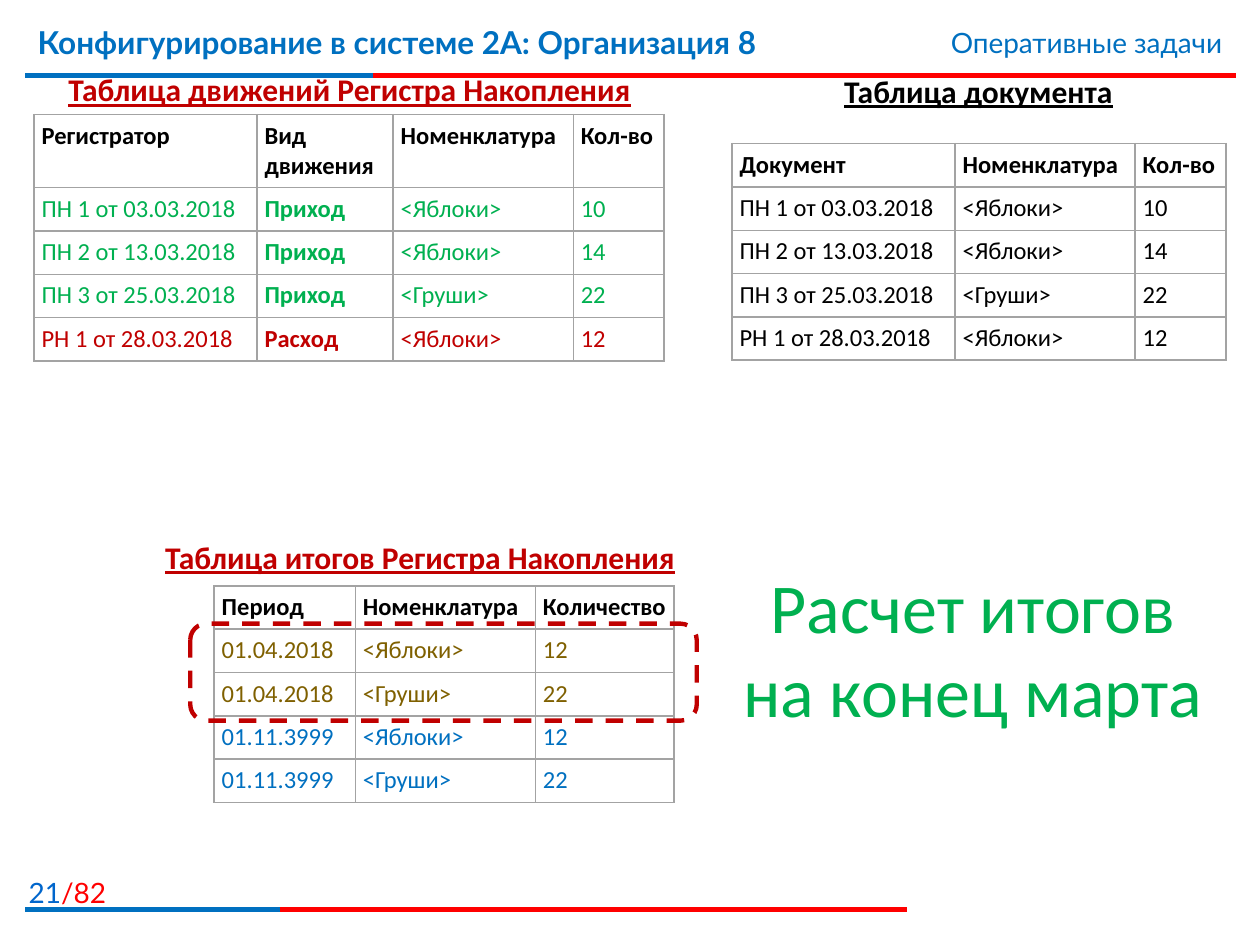
"""Build the slide on month-end totals of an accumulation register."""
from lxml.etree import SubElement
from pptx import Presentation
from pptx.dml.color import RGBColor
from pptx.enum.dml import MSO_LINE
from pptx.enum.shapes import MSO_CONNECTOR, MSO_SHAPE
from pptx.enum.text import PP_ALIGN
from pptx.oxml import parse_xml
from pptx.oxml.ns import nsdecls, qn
from pptx.util import Inches, Pt

BLACK = RGBColor(0x00, 0x00, 0x00)
BLUE = RGBColor(0x00, 0x70, 0xC0)
PAGE_BLUE = RGBColor(0x00, 0x66, 0xCC)
RED = RGBColor(0xFF, 0x00, 0x00)
DARK_RED = RGBColor(0xC0, 0x00, 0x00)
GREEN = RGBColor(0x00, 0xB0, 0x50)
BROWN = RGBColor(0x7F, 0x60, 0x00)
BORDER_GRAY = RGBColor(0xA3, 0xA3, 0xA3)

ROW_HEIGHT = 0.344
CELL_MARGINS = {"left": 0.06, "right": 0.05, "top": 0.05, "bottom": 0.05}

RULES = [
    (0.6, 9.81, RED), (0.6, 2.96, BLUE),
    (7.22, 7.2, RED), (7.22, 2.22, BLUE),
]

HEADING = {"size": 18, "bold": True, "underline": True, "align": PP_ALIGN.CENTER}
TEXTS = [
    ([("21", PAGE_BLUE), ("/82", RED)], (0, 6.9, 0.94, 0.32),
     {"size": 16, "font": "Lato", "align": PP_ALIGN.RIGHT}),
    ([("Конфигурирование в системе 2А: Организация 8", BLUE)], (0.2, 0.13, 7.4, 0.62),
     {"size": 18, "font": "Lato", "bold": True}),
    ([("Оперативные задачи", BLUE)], (5.94, 0.15, 3.86, 0.37),
     {"size": 16, "font": "Lato", "align": PP_ALIGN.RIGHT}),
    ([("Таблица документа", BLACK)], (5.56, 0.52, 4.41, 0.4), HEADING),
    ([("Таблица движений Регистра Накопления", DARK_RED)], (0.28, 0.51, 4.99, 0.4), HEADING),
    ([("Таблица итогов Регистра Накопления", DARK_RED)], (1.13, 4.22, 4.41, 0.4), HEADING),
    ([("Расчет итогов на конец марта", GREEN)], (5.71, 4.42, 4.02, 1.45),
     {"size": 40, "align": PP_ALIGN.CENTER}),
]

MOVEMENTS = [
    ("ПН 1 от 03.03.2018", "Приход", "<Яблоки>", "10"),
    ("ПН 2 от 13.03.2018", "Приход", "<Яблоки>", "14"),
    ("ПН 3 от 25.03.2018", "Приход", "<Груши>", "22"),
    ("РН 1 от 28.03.2018", "Расход", "<Яблоки>", "12"),
]
TOTALS = [
    (period, item, quantity)
    for period in ("01.04.2018", "01.11.3999")
    for item, quantity in (("<Яблоки>", "12"), ("<Груши>", "22"))
]

TABLES = [
    {"position": (1.7, 4.65), "columns": [1.12, 1.43, 1.1], "header_height": ROW_HEIGHT,
     "header": ("Период", "Номенклатура", "Количество"),
     "rows": TOTALS, "colors": [BROWN, BROWN, BLUE, BLUE]},
    {"position": (0.27, 0.91), "columns": [1.77, 1.08, 1.43, 0.72], "header_height": 0.58,
     "header": ("Регистратор", "Вид движения", "Номенклатура", "Кол-во"),
     "rows": MOVEMENTS, "colors": [GREEN, GREEN, GREEN, DARK_RED], "bold_column": 1},
    {"position": (5.81, 1.14), "columns": [1.77, 1.43, 0.72], "header_height": ROW_HEIGHT,
     "header": ("Документ", "Номенклатура", "Кол-во"),
     "rows": [(document, item, quantity) for document, _, item, quantity in MOVEMENTS],
     "colors": [BLACK] * 4},
]


def write_text(frame, runs, *, size, font="Calibri", bold=False, underline=False,
               align=PP_ALIGN.LEFT):
    frame.word_wrap = True
    paragraph = frame.paragraphs[0]
    paragraph.alignment = align
    for text, color in runs:
        run = paragraph.add_run()
        run.text = text
        run.font.size = Pt(size)
        run.font.name = font
        run.font.bold = bold
        run.font.underline = underline
        run.font.color.rgb = color


def add_rule(slide, top, right, color):
    rule = slide.shapes.add_connector(
        MSO_CONNECTOR.STRAIGHT, Inches(0.2), Inches(top), Inches(right), Inches(top))
    rule.line.color.rgb = color
    rule.line.width = Pt(3)
    SubElement(rule._element.spPr, qn("a:effectLst"))


def set_borders(cell):
    properties = cell._tc.get_or_add_tcPr()
    for index, side in enumerate(("lnL", "lnR", "lnT", "lnB")):
        properties.insert(index, parse_xml(
            f'<a:{side} {nsdecls("a")} w="{Pt(1)}"><a:solidFill>'
            f'<a:srgbClr val="{BORDER_GRAY}"/></a:solidFill></a:{side}>'))


def add_grid(slide, position, columns, header_height, header, rows, colors, bold_column=None):
    heights = [header_height] + [ROW_HEIGHT] * len(rows)
    left, top = position
    table = slide.shapes.add_table(
        len(heights), len(columns), Inches(left), Inches(top),
        Inches(sum(columns)), Inches(sum(heights))).table
    table.first_row = False
    table.horz_banding = False
    for column, width in zip(table.columns, columns):
        column.width = Inches(width)
    for row, height in zip(table.rows, heights):
        row.height = Inches(height)
    for row_index, (values, color) in enumerate(zip([header, *rows], [BLACK, *colors])):
        for column_index, value in enumerate(values):
            cell = table.cell(row_index, column_index)
            cell.fill.background()
            for side, margin in CELL_MARGINS.items():
                setattr(cell, f"margin_{side}", Inches(margin))
            set_borders(cell)
            write_text(cell.text_frame, [(value, color)], size=14,
                       bold=row_index == 0 or column_index == bold_column)


def add_highlight(slide):
    highlight = slide.shapes.add_shape(
        MSO_SHAPE.ROUNDED_RECTANGLE, Inches(1.51), Inches(4.95), Inches(4.02), Inches(0.77))
    highlight.shadow.inherit = False
    highlight.fill.background()
    highlight.line.color.rgb = DARK_RED
    highlight.line.width = Pt(2.5)
    highlight.line.dash_style = MSO_LINE.DASH


def main():
    presentation = Presentation()
    presentation.slide_width = Inches(10)
    presentation.slide_height = Inches(7.5)
    slide = presentation.slides.add_slide(presentation.slide_layouts[6])
    for rule in RULES:
        add_rule(slide, *rule)
    for runs, box, text_format in TEXTS:
        text_box = slide.shapes.add_textbox(*map(Inches, box))
        write_text(text_box.text_frame, runs, **text_format)
    for table in TABLES:
        add_grid(slide, **table)
    add_highlight(slide)
    presentation.save("out.pptx")


if __name__ == "__main__":
    main()
